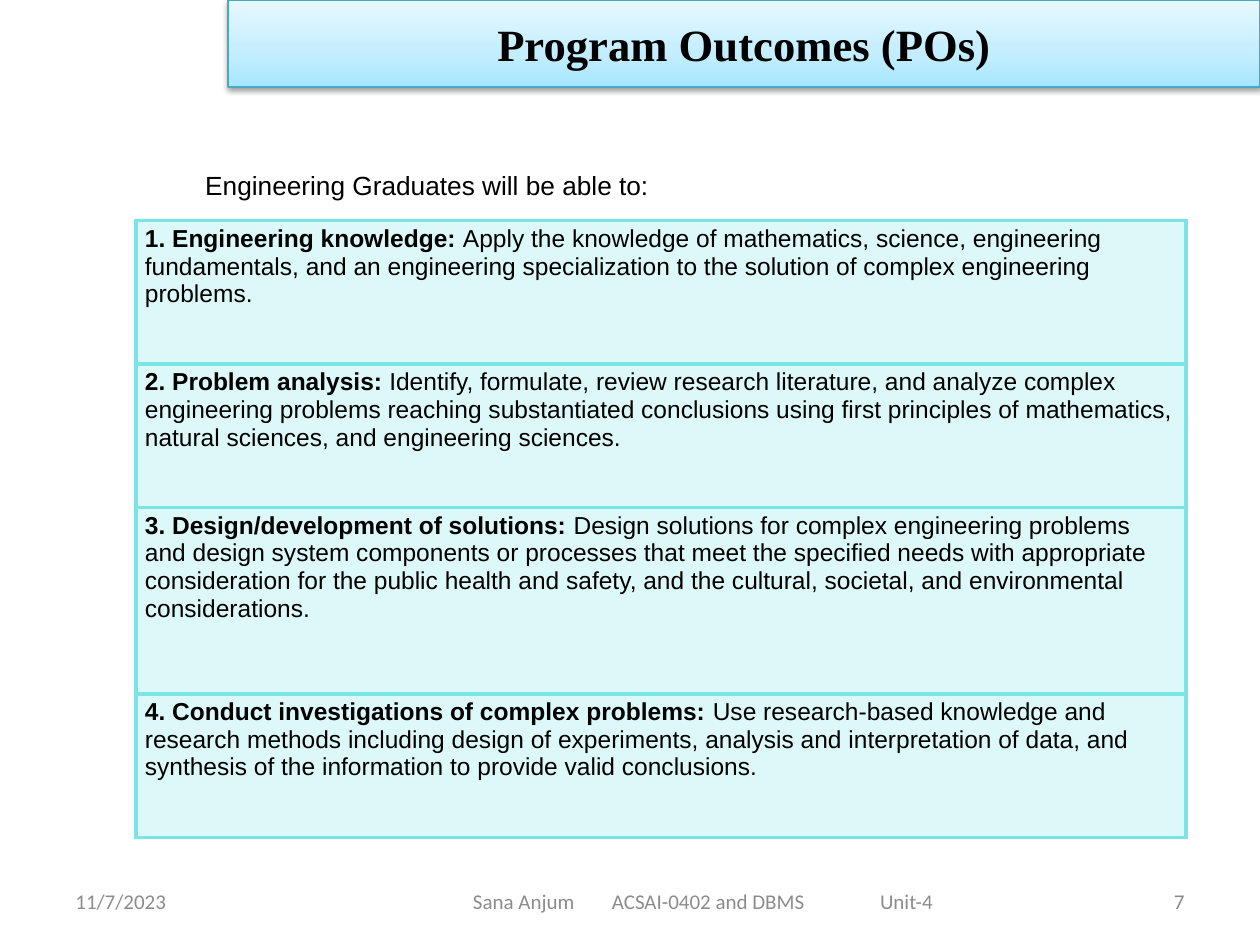
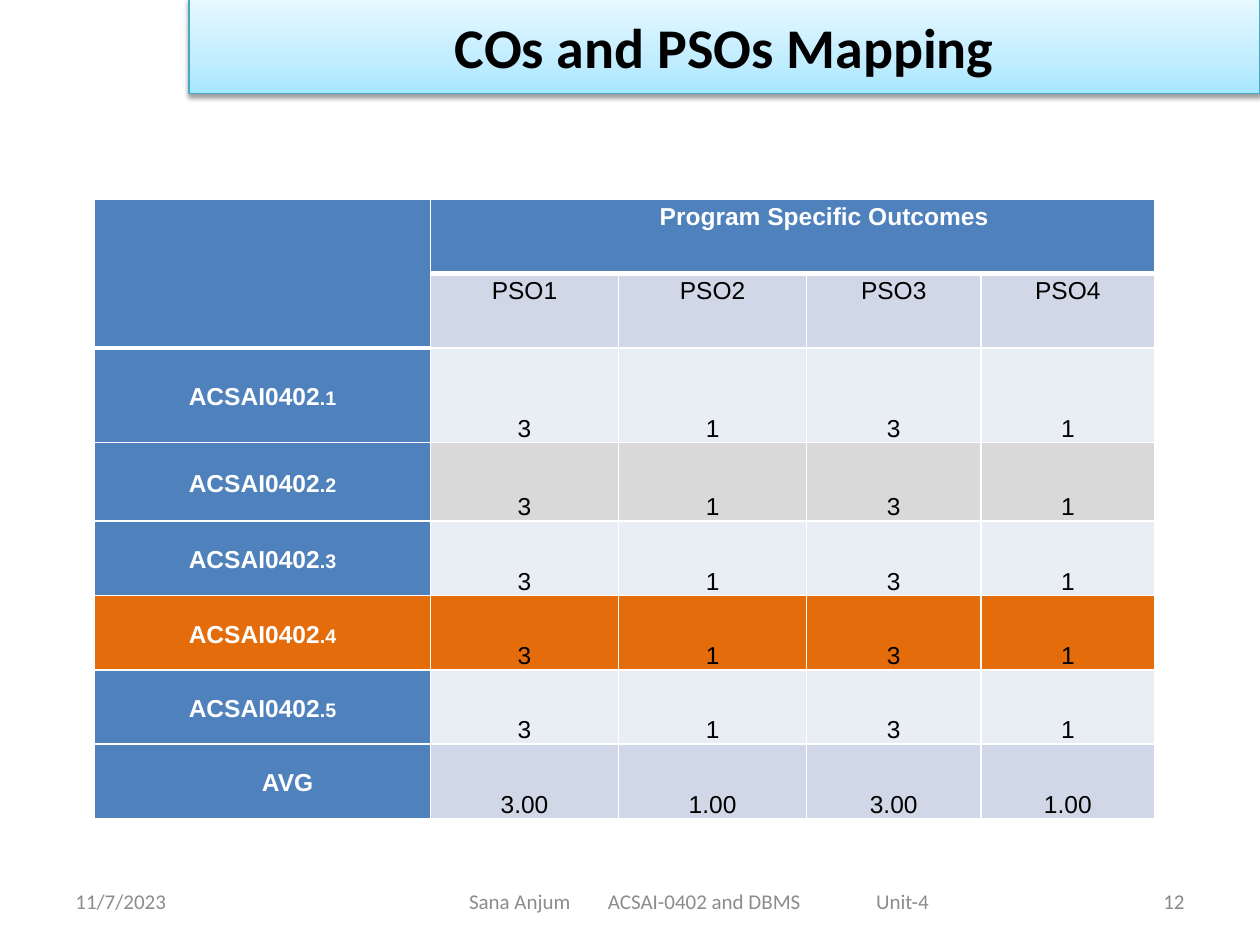
"""Build two course slides: program outcomes and the COs to PSOs mapping."""
from lxml.etree import SubElement
from pptx import Presentation
from pptx.dml.color import RGBColor
from pptx.enum.shapes import MSO_SHAPE as Shape
from pptx.enum.text import MSO_ANCHOR as Anchor, PP_ALIGN as Align
from pptx.oxml import parse_xml
from pptx.oxml.ns import nsdecls, qn
from pptx.util import Pt

rgb = RGBColor.from_string
BLACK, WHITE, GRAY = "000000", "FFFFFF", "8C8C8C"
AQUA, BLUE, ORANGE = "7BE5E5", "4F81BD", "E46C0A"
PALE, LIGHT, SILVER = "E9EDF4", "D0D8E8", "D9D9D9"
NS = nsdecls("a")
GRAD = f"""<a:gradFill {NS} rotWithShape="1"><a:gsLst>
<a:gs pos="0"><a:srgbClr val="A7E6FF"/></a:gs>
<a:gs pos="35000"><a:srgbClr val="C1EDFF"/></a:gs>
<a:gs pos="100000"><a:srgbClr val="E7F8FF"/></a:gs>
</a:gsLst><a:lin ang="16200000" scaled="0"/></a:gradFill>"""
SHADE = f"""<a:outerShdw {NS} blurRad="{Pt(3.1)}" dist="{Pt(1.6)}" dir="5400000" rotWithShape="0">
<a:srgbClr val="000000"><a:alpha val="38000"/></a:srgbClr></a:outerShdw>"""


def style(par, size, face, hue, bold=False, align=Align.LEFT):
    """Format every run of a paragraph."""
    par.alignment = align
    for run in par.runs:
        font = run.font
        font.size, font.name, font.bold = Pt(size), face, bold
        font.color.rgb = rgb(hue)


def paint(cell, fill, edge, widths, pads):
    """Set the fill, the left, right, top and bottom borders, and the insets."""
    cell.fill.solid()
    cell.fill.fore_color.rgb = rgb(fill)
    cell.margin_left = cell.margin_right = Pt(pads[0])
    cell.margin_top = cell.margin_bottom = Pt(pads[1])
    for i, (side, width) in enumerate(zip("LRTB", widths)):
        line = (f'<a:ln{side} {NS} w="{Pt(width)}"><a:solidFill>'
                f'<a:srgbClr val="{edge}"/></a:solidFill></a:ln{side}>')
        cell._tc.get_or_add_tcPr().insert(i, parse_xml(line))


deck = Presentation()
deck.slide_width, deck.slide_height = Pt(720), Pt(540)

pages = [
    ("Program Outcomes (POs)", 25.5, "Times New Roman", (130.3, 0, 589.7, 49.7), "7", (246.2, 311.8, 24.1)),
    ("COs and PSOs Mapping", 32, "Calibri", (108, -0.5, 612, 54), "12", (178.6, 442, 89.4)),
]
for title, size, face, place, number, (left, wide, inset) in pages:
    slide = deck.slides.add_slide(deck.slide_layouts[6])
    band = slide.shapes.add_shape(Shape.RECTANGLE, *map(Pt, place))
    band.line.color.rgb = rgb("46AAC5")
    band.line.width = Pt(0.75)
    band.shadow.inherit = False
    props = band._element.spPr
    props.insert(2, parse_xml(GRAD))
    props.find(qn("a:effectLst")).append(parse_xml(SHADE))
    frame = band.text_frame
    frame.vertical_anchor = Anchor.MIDDLE
    frame.text = title
    style(frame.paragraphs[0], size, face, BLACK, True, Align.CENTER)

    feet = [
        ("11/7/2023", 36, 168, 7.2, GRAY, Align.LEFT),
        ("Sana Anjum\tACSAI-0402 and DBMS\tUnit-4", left, wide, inset, GRAY, Align.LEFT),
        (number, 516, 168, 7.2, "898989", Align.RIGHT),
    ]
    for text, x, width, pad, hue, align in feet:
        frame = slide.shapes.add_textbox(Pt(x), Pt(500.5), Pt(width), Pt(28.75)).text_frame
        frame.word_wrap = True
        frame.vertical_anchor = Anchor.MIDDLE
        frame.margin_left = Pt(pad)
        frame.text = text
        par = frame.paragraphs[0]
        if "\t" in text:
            tabs = SubElement(par._p.get_or_add_pPr(), qn("a:tabLst"))
            for stop in (79.4, 232.6):
                SubElement(tabs, qn("a:tab"), pos=str(Pt(stop)), algn="l")
        style(par, 12, "Calibri", hue, align=align)

first, second = deck.slides

frame = first.shapes.add_textbox(Pt(110.2), Pt(92.9), Pt(270.7), Pt(25.2)).text_frame
frame.word_wrap = False
frame.text = "Engineering Graduates will be able to:"
style(frame.paragraphs[0], 15, "Arial", BLACK)

goals = [
    ("1. Engineering knowledge: ", "Apply the knowledge of mathematics, science, engineering fundamentals, "
     "and an engineering specialization to the solution of complex engineering problems.", 82),
    ("2. Problem analysis:", " Identify, formulate, review research literature, and analyze complex "
     "engineering problems reaching substantiated conclusions using first principles of mathematics, "
     "natural sciences, and engineering sciences.", 82),
    ("3. Design/development of solutions:", " Design solutions for complex engineering problems and design "
     "system components or processes that meet the specified needs with appropriate consideration for the "
     "public health and safety, and the cultural, societal, and environmental considerations.", 106.5),
    ("4. Conduct investigations of complex problems: ", "Use research-based knowledge and research methods "
     "including design of experiments, analysis and interpretation of data, and synthesis of the "
     "information to provide valid conclusions.", 82),
]
table = first.shapes.add_table(len(goals), 1, Pt(77.8), Pt(126), Pt(600), Pt(352.5)).table
table.first_row = table.horz_banding = False
for r, (head, body, height) in enumerate(goals):
    table.rows[r].height = Pt(height)
    cell = table.cell(r, 0)
    paint(cell, AQUA, AQUA, [2.25] * 4, (5, 2.7))
    tint = cell._tc.tcPr.find(qn("a:solidFill")).find(qn("a:srgbClr"))
    SubElement(tint, qn("a:alpha"), val="25000")
    par = cell.text_frame.paragraphs[0]
    par.text = head
    par.add_run().text = body
    style(par, 14, "Arial", BLACK)
    par.runs[0].font.bold = True

marks = ["3", "1", "3", "1"]
rows = [
    (["", "Program Specific Outcomes", "", "", ""], BLUE, BLUE, 42.5),
    ([""] + [f"PSO{n}" for n in range(1, 5)], BLUE, LIGHT, 42.5),
]
hues = [(BLUE, PALE, 54), (BLUE, SILVER, 45), (BLUE, PALE, 42.5), (ORANGE, ORANGE, 42.5), (BLUE, PALE, 42.5)]
for n, look in enumerate(hues, 1):
    rows.append((["ACSAI0402"] + marks, *look))
rows.append((["AVG"] + [f"{m}.00" for m in marks], BLUE, LIGHT, 42.5))

table = second.shapes.add_table(len(rows), 5, Pt(54), Pt(113.8), Pt(606), Pt(354)).table
table.first_row = table.horz_banding = False
for col, width in zip(table.columns, (192, 107.5, 107.5, 99.5, 99.5)):
    col.width = Pt(width)
table.cell(0, 0).merge(table.cell(1, 0))
table.cell(0, 1).merge(table.cell(0, 4))
for r, (texts, side, fill, height) in enumerate(rows):
    table.rows[r].height = Pt(height)
    for c, text in enumerate(texts):
        cell = table.cell(r, c)
        top = 3 if (r == 1 and c) or (r == 2 and not c) else 1
        base = 3 if r == 0 or (r == 1 and not c) else 1
        paint(cell, fill if c else side, WHITE, (1, 1, top, base), (5, 0))
        if not text:
            continue
        par = cell.text_frame.paragraphs[0]
        par.text = text
        par.line_spacing = 1.15
        if r > 1:
            cell.vertical_anchor = Anchor.BOTTOM if c else Anchor.MIDDLE
        if c and r != 1:
            par.space_after = Pt(10)
        if text == "ACSAI0402":
            par.add_run().text = f".{r - 1}"
            par.runs[1]._r.get_or_add_rPr().set("cap", "small")
        if r == 0 or text == "AVG":
            par._p.get_or_add_pPr().set("marL", str(Pt(28.8 if c == 0 else 36)))
        bold = r == 0 or c == 0
        style(par, 14, "Arial", WHITE if bold else BLACK, bold, Align.CENTER)

deck.save("out.pptx")
